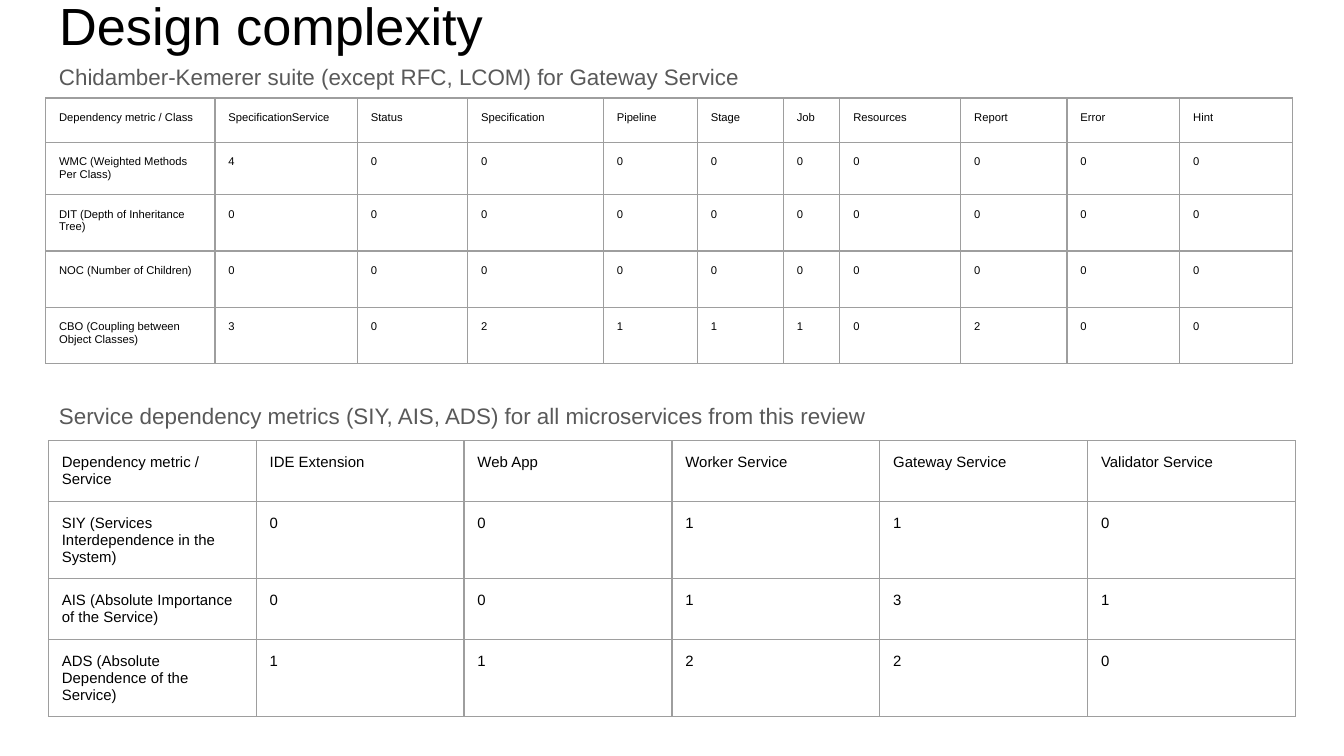
from dataclasses import dataclass
from typing import Any

import pptx
import pptx.dml.color
import pptx.enum.text
import pptx.oxml
import pptx.oxml.ns
import pptx.util
from pptx.util import Inches


@dataclass(frozen=True)
class Theme:
    font: str = "Arial"
    ink: str = "000000"
    muted: str = "595959"
    border: str = "9E9E9E"
    border_pt: float = 0.75
    title_pt: float = 28
    heading_pt: float = 12
    service_pt: float = 8
    class_pt: float = 6
    inset: float = 0.1


@dataclass(frozen=True)
class TextBlock:
    text: str
    top: float
    height: float
    size: float
    color: str
    line_spacing: float
    space_after: float = 0


@dataclass(frozen=True)
class MetricTable:
    left: float
    top: float
    columns: list[float]
    heights: list[float]
    size: float
    rows: list[list[str]]


THEME = Theme()
SLIDE_WIDTH = 10
SLIDE_HEIGHT = SLIDE_WIDTH * 9 / 16
TEXT_LEFT, TEXT_WIDTH = 0.34, 9.32
SERVICE_TABLE_WIDTH = 9.28

TITLE = TextBlock("Design complexity", -0.1, 0.63, THEME.title_pt, THEME.ink, 0.9)
HEADINGS = [
    TextBlock("Chidamber-Kemerer suite (except RFC, LCOM) for Gateway Service",
              0.34, 0.43, THEME.heading_pt, THEME.muted, 1.15, 12),
    TextBlock("Service dependency metrics (SIY, AIS, ADS) for all microservices from this review",
              2.86, 0.44, THEME.heading_pt, THEME.muted, 1.15, 12),
]
SERVICES = MetricTable(
    0.36, 3.28, [SERVICE_TABLE_WIDTH / 6] * 6, [0.39, 0.24, 0.13, 0.15], THEME.service_pt,
    [
        ["Dependency metric / Service", "IDE Extension", "Web App", "Worker Service",
         "Gateway Service", "Validator Service"],
        ["SIY (Services Interdependence in the System)", *"00110"],
        ["AIS (Absolute Importance of the Service)", *"00131"],
        ["ADS (Absolute Dependence of the Service)", *"11220"],
    ],
)
CLASSES = MetricTable(
    0.34, 0.73, [1.26, 1.06, 0.82, 1.01, 0.7, 0.64, 0.42, 0.9, 0.79, 0.84, 0.84],
    [0.33, 0.23, 0.42, 0.42, 0.42], THEME.class_pt,
    [
        ["Dependency metric / Class", "SpecificationService", "Status", "Specification",
         "Pipeline", "Stage", "Job", "Resources", "Report", "Error", "Hint"],
        ["WMC (Weighted Methods Per Class)", *"4000000000"],
        ["DIT (Depth of Inheritance Tree)", *"0000000000"],
        ["NOC (Number of Children)", *"0000000000"],
        ["CBO (Coupling between Object Classes)", *"3021110200"],
    ],
)


def add_run(p: Any, text: str, size: float, color: str) -> None:
    r = p.add_run()
    r.text = text
    r.font.name = THEME.font
    r.font.size = pptx.util.Pt(size)
    r.font.color.rgb = pptx.dml.color.RGBColor.from_string(color)


def set_insets(target: Any) -> None:
    for side in ("left", "top", "right", "bottom"):
        setattr(target, f"margin_{side}", Inches(THEME.inset))


def fill_text(sp: Any, block: TextBlock) -> None:
    sp.left, sp.top = Inches(TEXT_LEFT), Inches(block.top)
    sp.width, sp.height = Inches(TEXT_WIDTH), Inches(block.height)
    tf = sp.text_frame
    tf.word_wrap = True
    tf.auto_size = pptx.enum.text.MSO_AUTO_SIZE.NONE
    tf.vertical_anchor = pptx.enum.text.MSO_ANCHOR.TOP
    set_insets(tf)
    p = tf.paragraphs[0]
    p.alignment = pptx.enum.text.PP_ALIGN.LEFT
    p.line_spacing = block.line_spacing
    p.space_before = pptx.util.Pt(0)
    p.space_after = pptx.util.Pt(block.space_after)
    add_run(p, block.text, block.size, block.color)


def set_borders(cell: Any) -> None:
    tc_pr = cell._tc.get_or_add_tcPr()
    width = pptx.util.Pt(THEME.border_pt)
    for tag in ("lnL", "lnR", "lnT", "lnB"):
        tc_pr.append(pptx.oxml.parse_xml(
            f'<a:{tag} {pptx.oxml.ns.nsdecls("a")} w="{width}"><a:solidFill>'
            f'<a:srgbClr val="{THEME.border}"/></a:solidFill></a:{tag}>'))


def add_metric_table(s: Any, spec: MetricTable) -> None:
    frame = s.shapes.add_table(
        len(spec.heights), len(spec.columns), Inches(spec.left), Inches(spec.top),
        Inches(sum(spec.columns)), Inches(sum(spec.heights)))
    table = frame.table
    table.first_row = table.horz_banding = False
    for column, width in zip(table.columns, spec.columns):
        column.width = Inches(width)
    for row, height, texts in zip(table.rows, spec.heights, spec.rows):
        row.height = Inches(height)
        for cell, text in zip(row.cells, texts):
            set_insets(cell)
            set_borders(cell)
            cell.fill.background()
            add_run(cell.text_frame.paragraphs[0], text, spec.size, THEME.ink)


def main() -> None:
    prs = pptx.Presentation()
    prs.slide_width, prs.slide_height = Inches(SLIDE_WIDTH), Inches(SLIDE_HEIGHT)
    s = prs.slides.add_slide(prs.slide_layouts.get_by_name("Title Only"))
    fill_text(s.shapes.title, TITLE)
    fill_text(s.shapes.add_textbox(0, 0, 0, 0), HEADINGS[0])
    for spec in (SERVICES, CLASSES):
        add_metric_table(s, spec)
    fill_text(s.shapes.add_textbox(0, 0, 0, 0), HEADINGS[1])
    prs.save("out.pptx")


if __name__ == "__main__":
    main()
